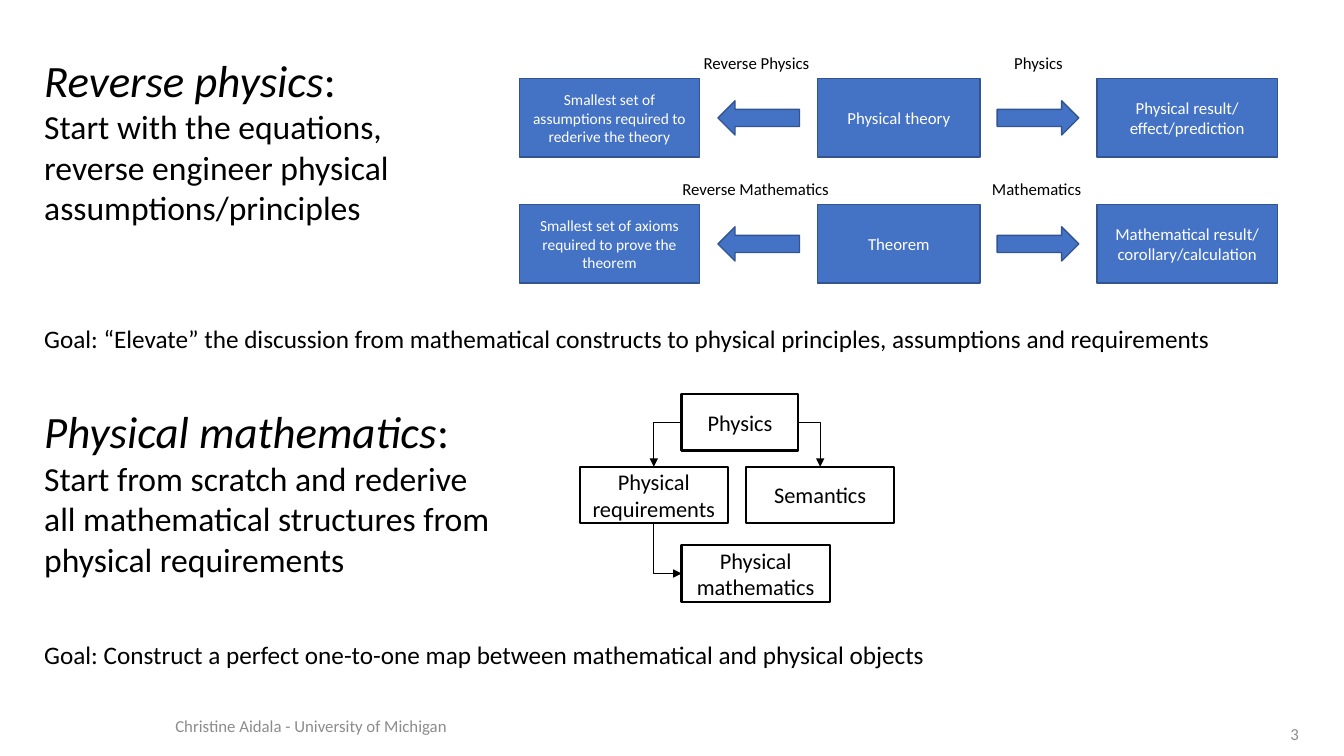
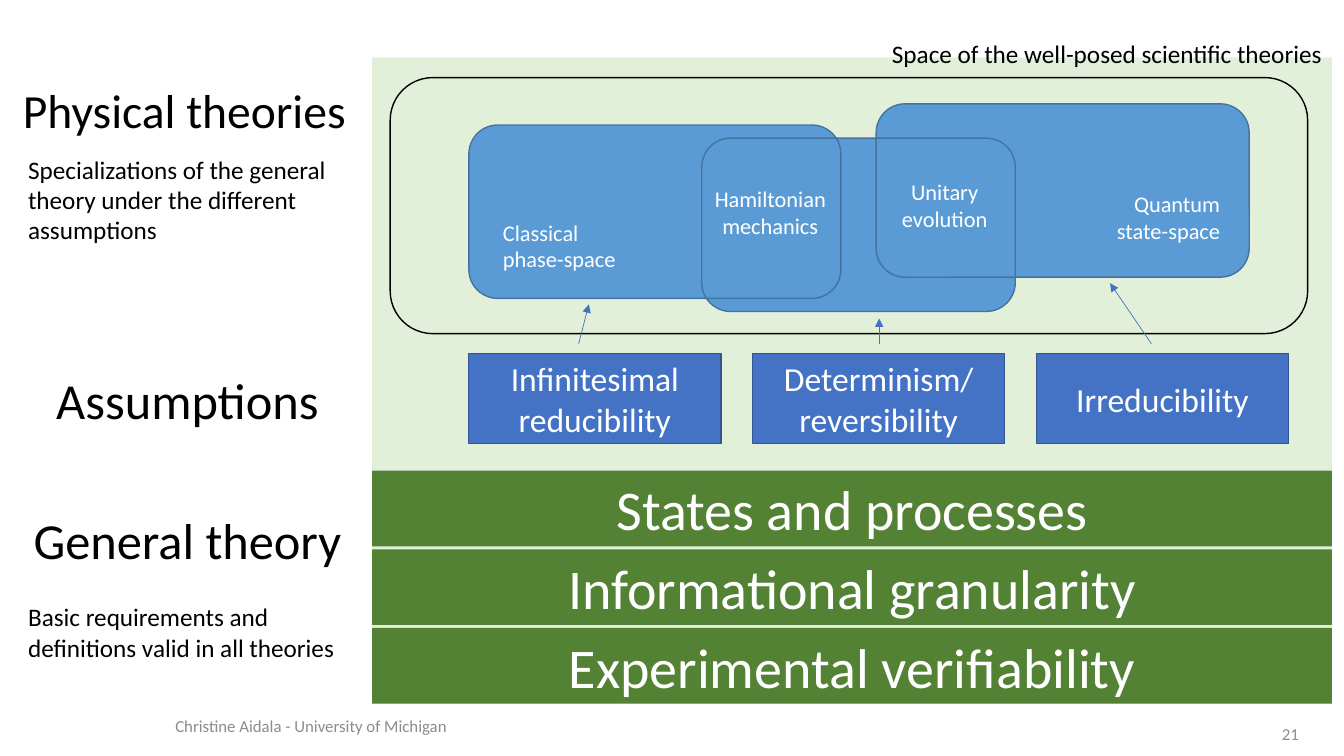
from lxml import etree
from pptx import Presentation
from pptx.dml.color import RGBColor
from pptx.enum.shapes import MSO_CONNECTOR, MSO_SHAPE
from pptx.enum.text import MSO_ANCHOR, PP_ALIGN
from pptx.oxml.ns import qn
from pptx.util import Inches, Pt

LEFT, CENTER, RIGHT = PP_ALIGN.LEFT, PP_ALIGN.CENTER, PP_ALIGN.RIGHT
TOP, MIDDLE = MSO_ANCHOR.TOP, MSO_ANCHOR.MIDDLE
RECTANGLE, ROUNDED = MSO_SHAPE.RECTANGLE, MSO_SHAPE.ROUNDED_RECTANGLE
RIGHT_ARROW, LEFT_ARROW = MSO_SHAPE.RIGHT_ARROW, MSO_SHAPE.LEFT_ARROW
STRAIGHT, ELBOW = MSO_CONNECTOR.STRAIGHT, MSO_CONNECTOR.ELBOW
SIDE_TOP, SIDE_LEFT, SIDE_BOTTOM, SIDE_RIGHT = range(4)

FONT = "Calibri"
COLORS = {
    "black": "000000",
    "white": "FFFFFF",
    "gray": "8C8C8C",
    "blue": "4472C4",
    "blue_edge": "325491",
    "sky": "5B9BD5",
    "sky_edge": "43739E",
    "pale_green": "E2F0D9",
    "green": "548235",
}
FOOTER = "Christine Aidala - University of Michigan"


def rgb(name):
    return RGBColor.from_string(COLORS[name])


# Text
def write_text(frame, text, size=18, color="black", align=LEFT, anchor=TOP, wrap=True):
    """Text is a string or a list of (string, size, italic); a newline breaks the line."""
    frame.word_wrap = wrap
    frame.vertical_anchor = anchor
    para = frame.paragraphs[0]
    para.alignment = align
    spans = [(text, size, False)] if isinstance(text, str) else text
    for words, span_size, italic in spans:
        for index, line in enumerate(words.split("\n")):
            if index:
                para.add_line_break()
            if line:
                span = para.add_run()
                span.text = line
                span.font.name = FONT
                span.font.size = Pt(span_size)
                span.font.italic = italic
                span.font.color.rgb = rgb(color)


def add_text(page, at, text, **style):
    box = page.shapes.add_textbox(*map(Inches, at))
    write_text(box.text_frame, text, **style)


# Shapes and lines
def add_box(page, at, kind=RECTANGLE, fill=None, line=None, weight=1, text="", **style):
    box = page.shapes.add_shape(kind, *map(Inches, at))
    box.shadow.inherit = False
    if fill:
        box.fill.solid()
        box.fill.fore_color.rgb = rgb(fill)
    else:
        box.fill.background()
    if line:
        box.line.color.rgb = rgb(line)
        box.line.width = Pt(weight)
    else:
        box.line.fill.background()
    if text:
        write_text(box.text_frame, text, align=CENTER, anchor=MIDDLE, **style)
    return box


def add_blue_box(page, at, text="", size=12, kind=RECTANGLE):
    add_box(page, at, kind, "blue", "blue_edge", text=text, size=size, color="white")


def style_line(line, color, arrow_end="tailEnd"):
    line.line.color.rgb = rgb(color)
    line.line.width = Pt(0.5)
    etree.SubElement(line.line._get_or_add_ln(), qn("a:" + arrow_end), type="triangle")
    etree.SubElement(line._element.spPr, qn("a:effectLst"))


def add_arrow(page, start, end):
    line = page.shapes.add_connector(STRAIGHT, *map(Inches, start + end))
    style_line(line, "blue")


def add_elbow(page, first, first_side, second, second_side, arrow_end="tailEnd"):
    """Leave the first box sideways and turn once towards the second."""
    line = page.shapes.add_connector(ELBOW, 0, 0, 0, 0)
    line.begin_connect(first, first_side)
    line.end_connect(second, second_side)
    line._element.spPr.find(qn("a:prstGeom")).set("prst", "bentConnector2")
    style_line(line, "black", arrow_end)


# Shared page
def add_page(deck, number):
    page = deck.slides.add_slide(deck.slide_layouts[6])
    small = {"size": 12, "color": "gray", "anchor": MIDDLE}
    add_text(page, (1.64, 7, 6.53, 0.4), FOOTER, **small)
    add_text(page, (12.37, 7.15, 0.61, 0.25), number, align=RIGHT, **small)
    return page


# Reverse physics and physical mathematics
def add_reverse_row(page, top, basis, theory, result, back_label, forward_label):
    add_blue_box(page, (5.15, top, 1.79, 0.78), basis, 11)
    add_blue_box(page, (8.11, top, 1.61, 0.78), theory)
    add_blue_box(page, (10.88, top, 1.79, 0.78), result)
    add_blue_box(page, (7.12, top + 0.22, 0.81, 0.34), kind=LEFT_ARROW)
    add_blue_box(page, (9.89, top + 0.22, 0.81, 0.34), kind=RIGHT_ARROW)
    for (left, width), label in (back_label, forward_label):
        add_text(page, (left, top - 0.31, width, 0.3), label, size=12, wrap=False)


def add_concept_tree(page):
    def concept(left, top, width, text):
        return add_box(page, (left, top, width, 0.56), fill="white", line="black",
                       weight=1.5, text=text, size=16)

    physics = concept(6.76, 3.91, 1.16, "Physics")
    mathematics = concept(6.76, 5.41, 1.47, "Physical mathematics")
    requirements = concept(5.75, 4.63, 1.47, "Physical requirements")
    semantics = concept(7.4, 4.63, 1.47, "Semantics")
    add_elbow(page, physics, SIDE_LEFT, requirements, SIDE_TOP)
    add_elbow(page, physics, SIDE_RIGHT, semantics, SIDE_TOP)
    add_elbow(page, mathematics, SIDE_LEFT, requirements, SIDE_BOTTOM, "headEnd")


def build_approaches(deck):
    page = add_page(deck, "3")
    add_reverse_row(
        page, 0.78,
        "Smallest set of assumptions required to rederive the theory",
        "Physical theory", "Physical result/\neffect/prediction",
        ((6.88, 1.27), "Reverse Physics"), ((9.96, 0.69), "Physics"))
    add_reverse_row(
        page, 2.03,
        "Smallest set of axioms required to prove the theorem",
        "Theorem", "Mathematical result/\ncorollary/calculation",
        ((6.67, 1.67), "Reverse Mathematics"), ((9.74, 1.1), "Mathematics"))
    add_text(page, (0.34, 0.47, 4.53, 1.85), [
        ("Reverse physics", 32, True), (":\n", 32, False),
        ("Start with the equations,\nreverse engineer physical assumptions/principles",
         24, False)])
    add_text(page, (0.34, 3.16, 12.72, 0.4),
             "Goal: “Elevate” the discussion from mathematical constructs to "
             "physical principles, assumptions and requirements")
    add_text(page, (0.34, 3.96, 4.73, 1.85), [
        ("Physical mathematics", 32, True), (": ", 32, False),
        ("Start from scratch and rederive all mathematical structures from "
         "physical requirements", 24, False)])
    add_text(page, (0.34, 6.29, 12.72, 0.4),
             "Goal: Construct a perfect one-to-one map between mathematical "
             "and physical objects")
    add_concept_tree(page)


# Layers of a theory
def add_level_labels(page):
    for top, text, size, align in (
            (0.75, "Physical theories", 34, LEFT),
            (3.61, "Assumptions", 36, CENTER),
            (5, "General theory", 36, CENTER)):
        add_text(page, (0.13, top, 3.46, 0.7), text, size=size, align=align)
    add_text(page, (0.18, 1.48, 3.41, 1.01),
             "Specializations of the general theory under the different assumptions")
    add_text(page, (0.18, 5.92, 3.41, 0.71),
             "Basic requirements and definitions valid in all theories")


def add_theory_space(page):
    overlap = (6.96, 1.37, 3.11, 1.72)
    add_box(page, (3.87, 0.77, 9.1, 2.54), ROUNDED, line="black")
    add_box(page, overlap, ROUNDED, "sky")
    for at in ((4.65, 1.24, 3.69, 1.72), (8.69, 1.03, 3.7, 1.72)):
        add_box(page, at, ROUNDED, "sky", "sky_edge")
    add_box(page, overlap, ROUNDED, line="sky_edge")
    for left, top, width, text, align in (
            (4.89, 2.12, 1.83, "Classical\nphase-space", LEFT),
            (6.95, 1.79, 1.38, "Hamiltonian\nmechanics", CENTER),
            (8.68, 1.72, 1.38, "Unitary\nevolution", CENTER),
            (10.37, 1.84, 1.83, "Quantum\nstate-space", RIGHT)):
        add_text(page, (left, top, width, 0.64), text, size=16, color="white", align=align)
    add_text(page, (7.28, 0.33, 5.93, 0.4),
             "Space of the well-posed scientific theories", align=RIGHT)


def build_layers(deck):
    page = add_page(deck, "21")
    add_box(page, (3.69, 0.57, 9.52, 6.41), fill="pale_green")
    add_level_labels(page)
    add_theory_space(page)

    assumptions = ("Infinitesimal reducibility", "Determinism/\nreversibility",
                   "Irreducibility")
    for column, text in enumerate(assumptions):
        add_blue_box(page, (4.65 + 2.815 * column, 3.51, 2.5, 0.89), text, 24)
    for start, end in (((5.74, 3.41), (5.84, 3.02)),
                       ((8.72, 3.41), (8.72, 3.16)),
                       ((11.42, 3.41), (11.01, 2.81))):
        add_arrow(page, start, end)

    foundations = ("States and processes", "Informational granularity",
                   "Experimental verifiability")
    for row, text in enumerate(foundations):
        add_box(page, (3.69, 4.67 + 0.78 * row, 9.52, 0.75), fill="green",
                text=text, size=40, color="white")


def main():
    deck = Presentation()
    deck.slide_width, deck.slide_height = Inches(13.33), Inches(7.5)
    build_approaches(deck)
    build_layers(deck)
    deck.save("out.pptx")


if __name__ == "__main__":
    main()
